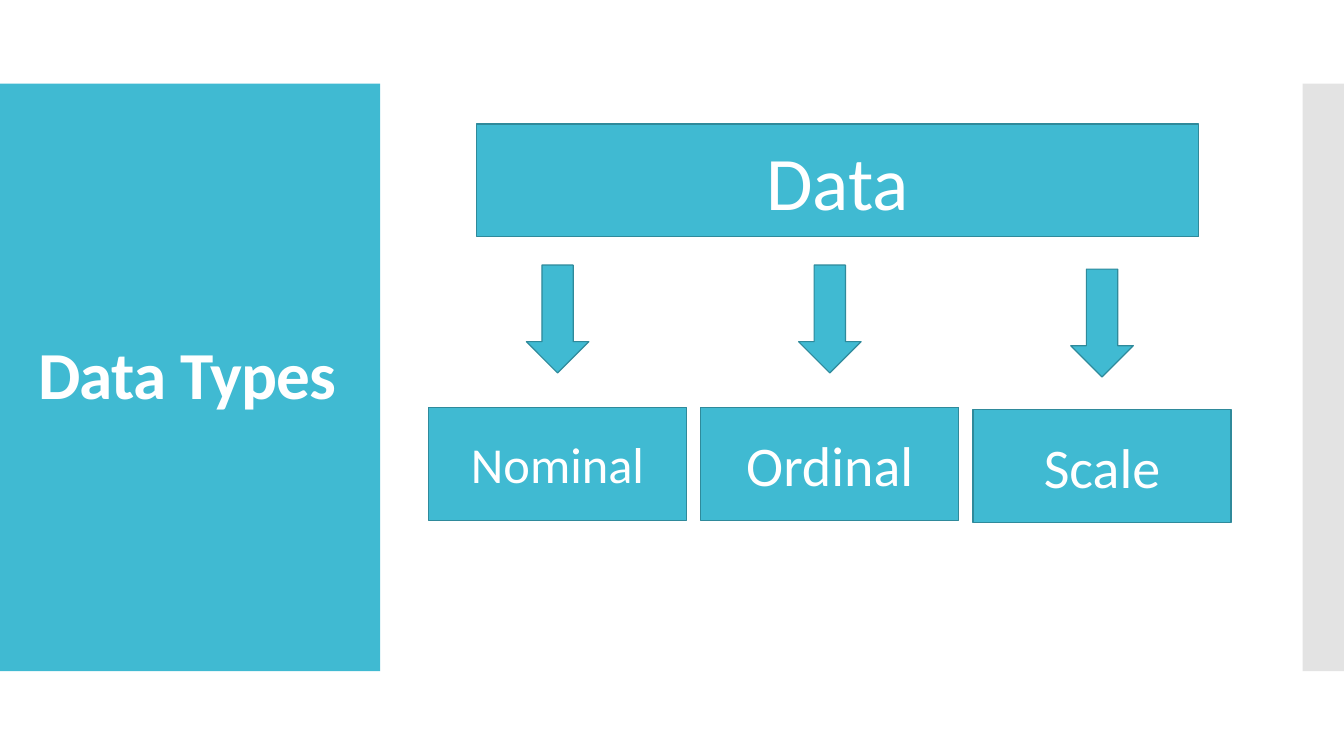
from lxml import etree
from pptx import Presentation
from pptx.dml.color import RGBColor
from pptx.enum import shapes, text
from pptx.oxml import ns
from pptx.util import Inches, Pt

TEAL = RGBColor(0x40, 0xBA, 0xD2)
DARK_TEAL = RGBColor(0x2F, 0x8A, 0x9B)
GREY = RGBColor(0xC8, 0xC8, 0xC8)
WHITE = RGBColor(0xFF, 0xFF, 0xFF)


class DiagramSlide:
    """Holds the slide being built and its common style."""

    font_name = "Calibri"
    line_width = Pt(0.85)

    def __init__(self, slide):
        self.slide = slide

    def label(self, frame, words, size, align, bold=False):
        frame.text = words
        frame_format = {
            "word_wrap": True,
            "auto_size": text.MSO_AUTO_SIZE.NONE,
            "vertical_anchor": text.MSO_ANCHOR.MIDDLE,
        }
        for name, value in frame_format.items():
            setattr(frame, name, value)
        paragraph = frame.paragraphs[0]
        paragraph.alignment = align
        font = paragraph.runs[0].font
        font_format = {"name": self.font_name, "size": Pt(size), "bold": bold}
        for name, value in font_format.items():
            setattr(font, name, value)
        font.color.rgb = WHITE
        return paragraph

    def filled(self, kind, left, top, width, height, fill=TEAL):
        shape = self.slide.shapes.add_shape(
            kind, Inches(left), Inches(top), Inches(width), Inches(height))
        shape.shadow.inherit = False
        shape.fill.solid()
        shape.fill.fore_color.rgb = fill
        return shape

    def outlined(self, kind, *place):
        shape = self.filled(kind, *place)
        shape.line.color.rgb = DARK_TEAL
        shape.line.width = self.line_width
        return shape

    def panel(self, left, width, fill, opacity=100):
        """Add a borderless side panel behind the title."""
        side = self.filled(shapes.MSO_SHAPE.RECTANGLE, left, 0.83, width, 5.83, fill)
        side.line.fill.background()
        if opacity < 100:
            color = side.element.spPr.find(".//" + ns.qn("a:srgbClr"))
            etree.SubElement(color, ns.qn("a:alpha"), val=str(opacity * 1000))
        self.slide.shapes.title.element.addprevious(side.element)

    def title(self, words, left, top, width, height):
        heading = self.slide.shapes.title
        place = {"left": left, "top": top, "width": width, "height": height}
        for name, value in place.items():
            setattr(heading, name, Inches(value))
        paragraph = self.label(heading.text_frame, words, 48, text.PP_ALIGN.LEFT, bold=True)
        paragraph.line_spacing = 0.9
        paragraph.runs[0]._r.get_or_add_rPr().set("spc", "-60")

    def box(self, words, size, *place):
        shape = self.outlined(shapes.MSO_SHAPE.RECTANGLE, *place)
        self.label(shape.text_frame, words, size, text.PP_ALIGN.CENTER)

    def down_arrow(self, left, top):
        self.outlined(shapes.MSO_SHAPE.DOWN_ARROW, left, top, 0.62, 1.07)


def main():
    deck = Presentation()
    deck.slide_width, deck.slide_height = Inches(13.33), Inches(7.5)
    diagram = DiagramSlide(deck.slides.add_slide(deck.slide_layouts[5]))

    diagram.panel(0, 3.77, TEAL)
    diagram.panel(12.92, 0.41, GREY, opacity=50)
    diagram.title("Data Types", 0.28, 1.23, 3.22, 5.03)

    diagram.box("Data", 54, 4.73, 1.23, 7.16, 1.12)
    data_types = [
        ("Nominal", 36, 4.04, 2.63),
        ("Ordinal", 40, 4.04, 2.63),
        ("Scale", 40, 4.06, 2.67),
    ]
    for column, (data_type, size, box_top, arrow_top) in enumerate(data_types):
        box_left = 4.25 + 2.7 * column
        diagram.box(data_type, size, box_left, box_top, 2.56, 1.12)
        diagram.down_arrow(box_left + 0.97, arrow_top)

    deck.save("out.pptx")


if __name__ == "__main__":
    main()
